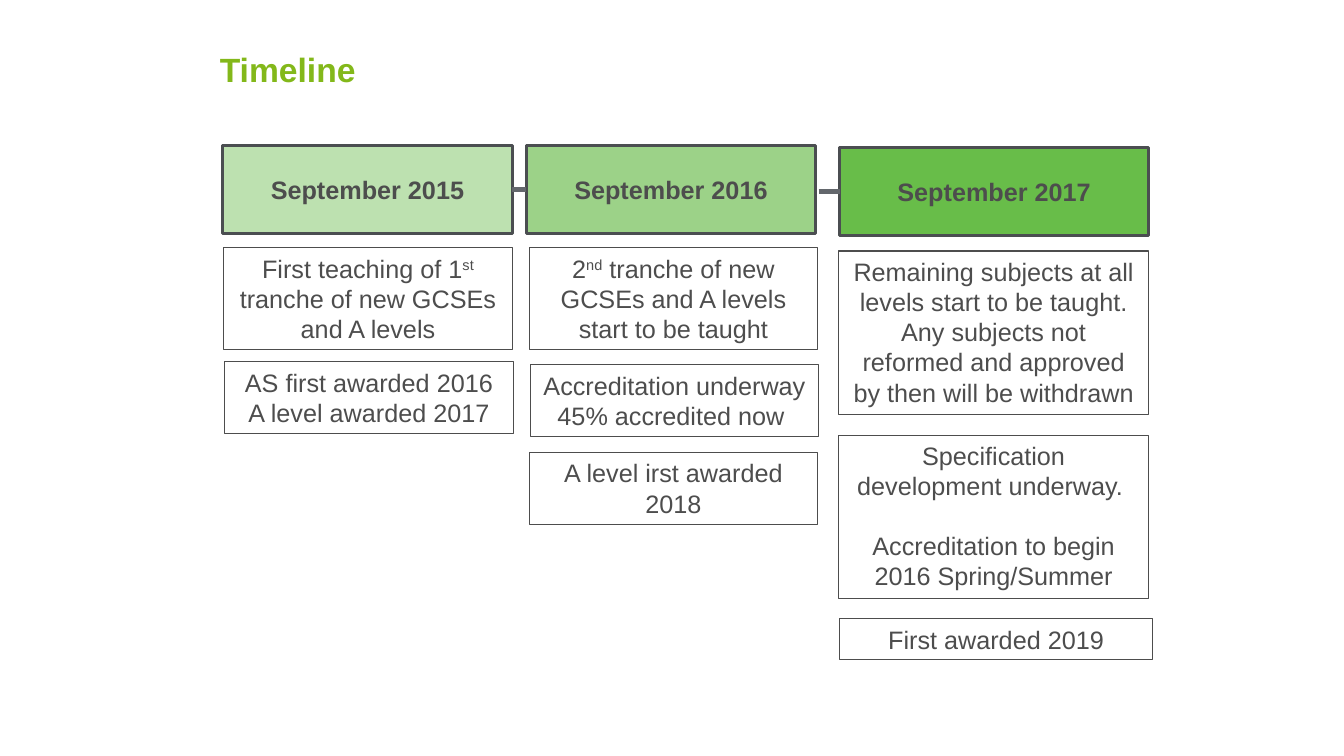
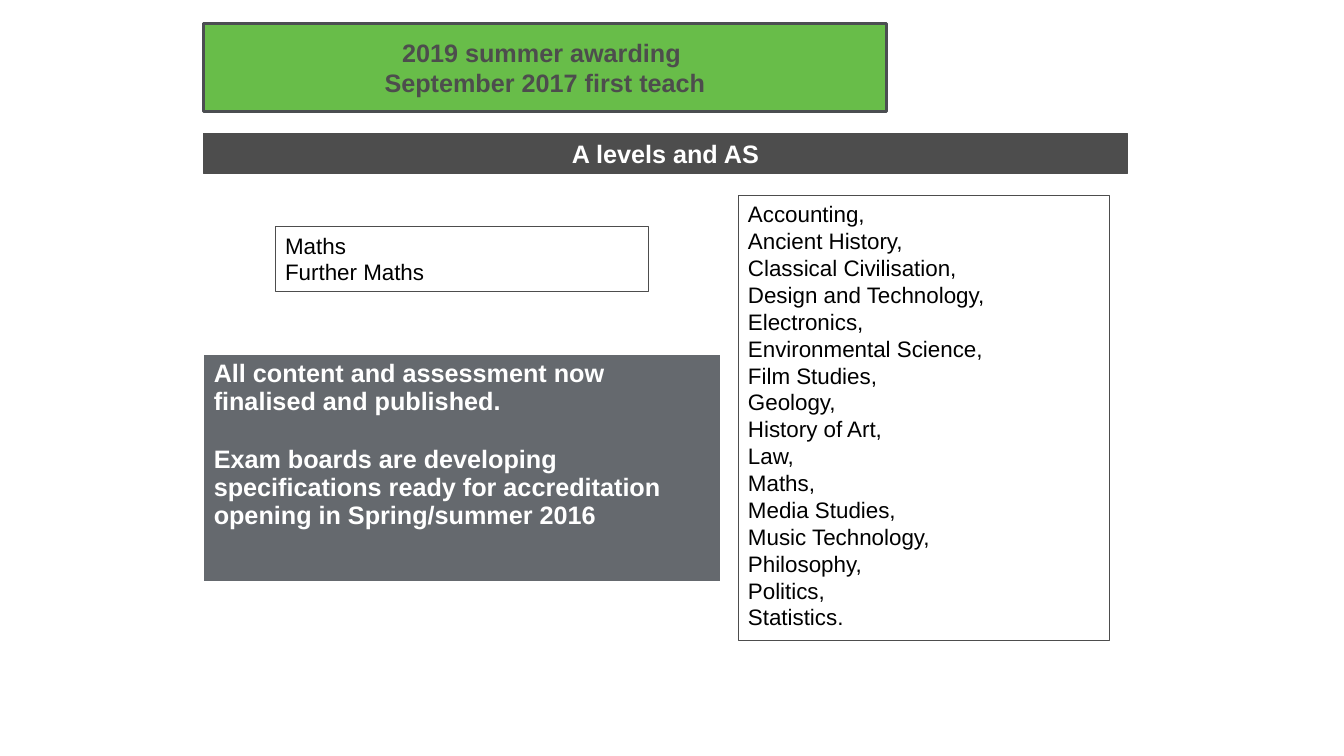
from lxml.etree import SubElement
from pptx import Presentation
from pptx.dml.color import RGBColor
from pptx.enum.shapes import MSO_CONNECTOR, MSO_SHAPE
from pptx.enum.text import MSO_ANCHOR, PP_ALIGN
from pptx.oxml.ns import qn
from pptx.util import Inches, Pt

FONT = "Arial"
TITLE_GREEN = RGBColor(0x83, 0xB8, 0x1A)
PALE_GREEN = RGBColor(0xBD, 0xE1, 0xB0)
MID_GREEN = RGBColor(0x9C, 0xD2, 0x88)
STRONG_GREEN = RGBColor(0x68, 0xBD, 0x49)
DARK_GREY = RGBColor(0x4D, 0x4D, 0x4D)
HEADER_LINE = RGBColor(0x4B, 0x4E, 0x51)
LINK_GREY = RGBColor(0x63, 0x67, 0x6C)
TABLE_GREY = RGBColor(0x65, 0x69, 0x6E)
WHITE = RGBColor(0xFF, 0xFF, 0xFF)
BLACK = RGBColor(0x00, 0x00, 0x00)
HEADER_HEIGHT = 0.88
PARAGRAPH_GAP = Pt(21)


def write(frame, paragraphs, size, color, bold=False, align=PP_ALIGN.LEFT, gap=0):
    """Fill a text frame; text between ^ marks is set as superscript."""
    frame.word_wrap = True
    for index, text in enumerate(paragraphs):
        para = frame.paragraphs[0] if index == 0 else frame.add_paragraph()
        para.alignment = align
        if index:
            para.space_before = gap
        for part, piece in enumerate(text.split("^")):
            span = para.add_run()
            span.text = piece
            span.font.name = FONT
            span.font.size = Pt(size)
            span.font.bold = bold
            span.font.color.rgb = color
            if part % 2:
                span.font._element.set("baseline", "30000")


def add_box(page, left, top, width, height, paragraphs, fill=None, line=DARK_GREY,
            line_width=0.75, anchor=MSO_ANCHOR.TOP, size=18, color=DARK_GREY,
            bold=False, align=PP_ALIGN.CENTER, gap=0):
    box = page.shapes.add_shape(MSO_SHAPE.RECTANGLE, Inches(left), Inches(top),
                                Inches(width), Inches(height))
    box.shadow.inherit = False
    if fill is None:
        box.fill.background()
    else:
        box.fill.solid()
        box.fill.fore_color.rgb = fill
    box.line.color.rgb = line
    box.line.width = Pt(line_width)
    box.text_frame.vertical_anchor = anchor
    write(box.text_frame, paragraphs, size, color, bold, align, gap)
    return box


HEADER_STYLE = dict(line=HEADER_LINE, line_width=2, anchor=MSO_ANCHOR.MIDDLE, bold=True)
LIST_STYLE = dict(size=16, color=BLACK, align=PP_ALIGN.LEFT)

deck = Presentation()
deck.slide_width = Inches(13.33)
deck.slide_height = Inches(7.5)
title_only, blank = deck.slide_layouts[5], deck.slide_layouts[6]

# Timeline
page = deck.slides.add_slide(title_only)
title = page.shapes.title
title.left, title.top = Inches(2.18), Inches(0.44)
title.width, title.height = Inches(6.94), Inches(0.78)
frame = title.text_frame
frame.margin_left = frame.margin_right = 0
frame.margin_top = frame.margin_bottom = Inches(0.04)
frame.vertical_anchor = MSO_ANCHOR.TOP
write(frame, ["Timeline"], 24, TITLE_GREEN, bold=True)

milestones = [
    (2.21, 1.44, 2.87, PALE_GREEN, "September 2015"),
    (5.22, 1.44, 2.87, MID_GREEN, "September 2016"),
    (8.33, 1.46, 3.06, STRONG_GREEN, "September 2017"),
]
headers = [add_box(page, left, top, width, HEADER_HEIGHT, [text], fill, **HEADER_STYLE)
           for left, top, width, fill, text in milestones]

first_link = page.shapes.add_connector(MSO_CONNECTOR.STRAIGHT, Inches(5.08), Inches(1.88),
                                       Inches(5.22), Inches(1.88))
first_link.begin_connect(headers[0], 3)
first_link.end_connect(headers[1], 1)
second_link = page.shapes.add_connector(MSO_CONNECTOR.STRAIGHT, Inches(8.12), Inches(1.9),
                                        Inches(8.33), Inches(1.9))
second_link.end_connect(headers[2], 1)
for link in (first_link, second_link):
    link.line.color.rgb = LINK_GREY
    link.line.width = Pt(3)
    SubElement(link._element.spPr, qn("a:effectLst"))

details = [
    (2.22, 2.46, 2.86, 1.01, ["First teaching of 1^st^ tranche of new GCSEs and A levels"]),
    (2.23, 3.59, 2.86, 0.71, ["AS first awarded 2016", "A level awarded 2017"]),
    (5.25, 2.46, 2.86, 1.01, ["2^nd^ tranche of new GCSEs and A levels start to be taught"]),
    (5.26, 3.62, 2.86, 0.71, ["Accreditation underway 45% accredited now "]),
    (5.25, 4.49, 2.86, 0.71, ["A level irst awarded 2018"]),
    (8.32, 2.49, 3.07, 1.62, ["Remaining subjects at all levels start to be taught. "
                              "Any subjects not reformed and approved by then will "
                              "be withdrawn"]),
    (8.32, 4.32, 3.07, 1.62, ["Specification development underway. ",
                              "Accreditation to begin 2016 Spring/Summer"]),
    (8.33, 6.14, 3.1, 0.4, ["First awarded 2019"]),
]
for left, top, width, height, paragraphs in details:
    gap = PARAGRAPH_GAP if height > 1 else 0
    add_box(page, left, top, width, height, paragraphs, gap=gap)

# Subjects for 2019 awarding
page = deck.slides.add_slide(blank)
add_box(page, 2.02, 1.32, 9.16, 0.4, ["A levels and AS"], DARK_GREY, color=WHITE, bold=True)
add_box(page, 2.02, 0.23, 6.77, HEADER_HEIGHT,
        ["2019 summer awarding ", "September 2017 first teach"], STRONG_GREEN, **HEADER_STYLE)
add_box(page, 2.73, 2.25, 3.7, 0.64, ["Maths", "Further Maths"], **LIST_STYLE)

subjects = [
    "Accounting,", "Ancient History,", "Classical Civilisation,",
    "Design and Technology, Electronics,", "Environmental Science,", "Film Studies,",
    "Geology,", "History of Art,", "Law,", "Maths,", "Media Studies,",
    "Music Technology,", "Philosophy,", "Politics,", "Statistics.",
]
add_box(page, 7.32, 1.94, 3.68, 4.41, subjects, **LIST_STYLE)

table = page.shapes.add_table(1, 1, Inches(2.02), Inches(3.52),
                              Inches(5.13), Inches(2.25)).table
cell = table.cell(0, 0)
cell.fill.solid()
cell.fill.fore_color.rgb = TABLE_GREY
write(cell.text_frame,
      ["All content and assessment now finalised and published.",
       "Exam boards are developing specifications ready for accreditation "
       "opening in Spring/summer 2016"],
      18, WHITE, bold=True, gap=PARAGRAPH_GAP)

deck.save("out.pptx")
